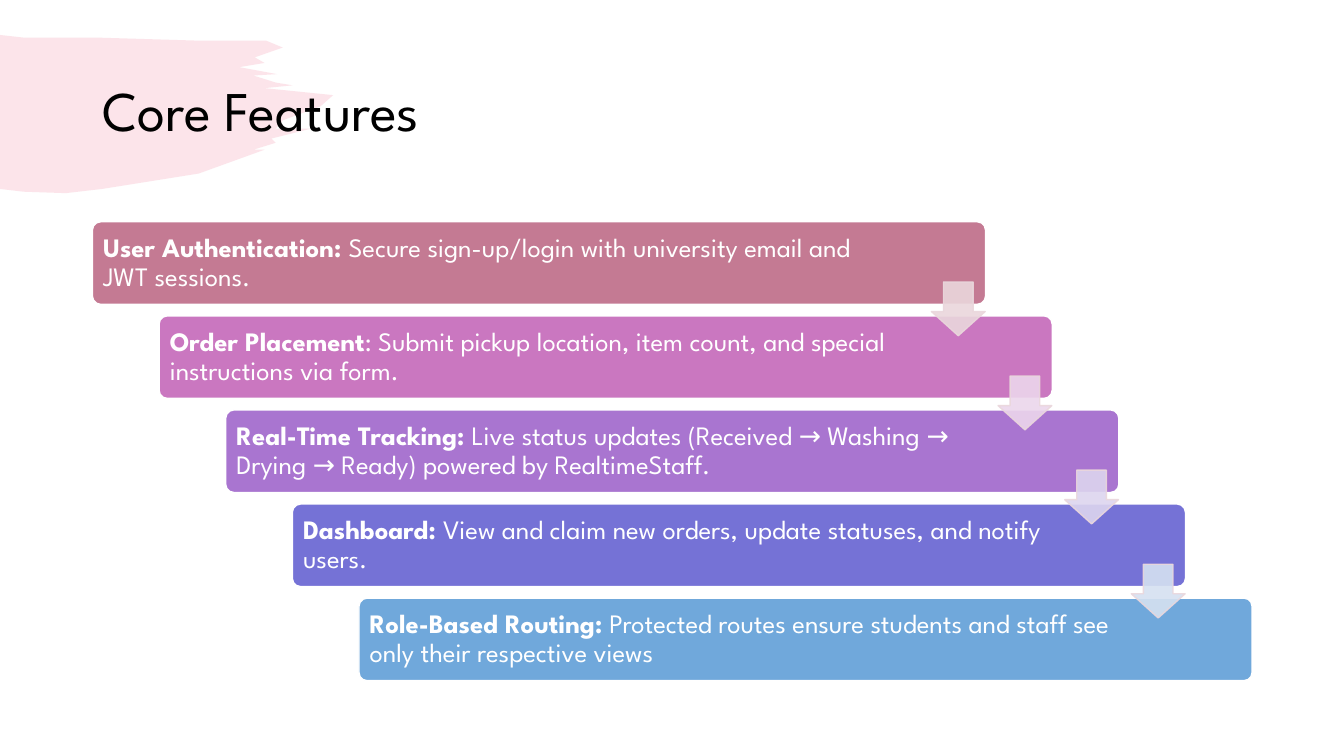
from lxml import etree
from pptx import Presentation
from pptx.dml.color import RGBColor
from pptx.enum.shapes import MSO_SHAPE
from pptx.enum.text import MSO_ANCHOR, MSO_AUTO_SIZE, PP_ALIGN
from pptx.oxml.ns import qn
from pptx.util import Pt

ROUNDED = MSO_SHAPE.ROUNDED_RECTANGLE
DOWN_ARROW = MSO_SHAPE.DOWN_ARROW
MIDDLE = MSO_ANCHOR.MIDDLE
LEFT = PP_ALIGN.LEFT
NO_AUTOFIT = MSO_AUTO_SIZE.NONE

FONT = "League Spartan"
BLACK = RGBColor.from_string("000000")
WHITE = RGBColor.from_string("FFFFFF")
PINK = RGBColor.from_string("F07C98")
ROSE = RGBColor.from_string("C47A93")
ORCHID = RGBColor.from_string("CA77C0")
PURPLE = RGBColor.from_string("A975D0")
INDIGO = RGBColor.from_string("7572D6")
BLUE = RGBColor.from_string("70A8DB")
PALE_ROSE = RGBColor.from_string("EAD7DC")
PALE_ORCHID = RGBColor.from_string("ECD6EC")
PALE_PURPLE = RGBColor.from_string("DDD5EF")
PALE_BLUE = RGBColor.from_string("D5E1F1")

# Box colour, bold heading, description
FEATURES = [
    (ROSE, "User Authentication: ",
     "Secure sign-up/login with university email and JWT sessions."),
    (ORCHID, "Order Placement",
     ": Submit pickup location, item count, and special instructions via form."),
    (PURPLE, "Real-Time Tracking: ",
     "Live status updates (Received → Washing → Drying → Ready) powered by RealtimeStaff."),
    (INDIGO, "Dashboard: ",
     "View and claim new orders, update statuses, and notify users."),
    (BLUE, "Role-Based Routing: ",
     "Protected routes ensure students and staff see only their respective views"),
]
ARROW_FILLS = [PALE_ROSE, PALE_ORCHID, PALE_PURPLE, PALE_BLUE]

# Brush outline in points, clockwise from the top left
BRUSH_OUTLINE = [
    (0, 25), (18, 27), (73, 27), (140, 29), (190, 29), (202, 34),
    (182, 41), (189, 45), (171, 48), (198, 53), (181, 54), (197, 59),
    (209, 61), (189, 63), (238, 68), (229, 76), (202, 86), (197, 92),
    (222, 92), (194, 99), (197, 102), (181, 107), (189, 107), (142, 124),
    (73, 135), (47, 138), (17, 137), (0, 135),
]


def add_text(paragraph, text, size=19, color=WHITE, bold=False):
    paragraph.alignment = LEFT
    paragraph.line_spacing = 0.9
    run = paragraph.add_run()
    run.text = text
    run.font.name = FONT
    run.font.size = Pt(size)
    run.font.bold = bold
    run.font.color.rgb = color


def style_shape(shape, fill, line=None, opacity=100):
    shape.shadow.inherit = False
    shape.fill.solid()
    shape.fill.fore_color.rgb = fill
    if line is None:
        shape.line.fill.background()
    else:
        shape.line.color.rgb = line
        shape.line.width = Pt(1)
    if opacity < 100:
        for color in shape._element.spPr.iter(qn("a:srgbClr")):
            etree.SubElement(color, qn("a:alpha")).set("val", str(opacity * 1000))


presentation = Presentation()
presentation.slide_width = Pt(960)
presentation.slide_height = Pt(540)
slide = presentation.slides.add_slide(presentation.slide_layouts[5])
slide.background.fill.solid()
slide.background.fill.fore_color.rgb = WHITE

# Title
title = slide.shapes.title
title.left, title.top, title.width, title.height = Pt(66), Pt(28.8), Pt(828), Pt(104.4)
title.text_frame.auto_size = NO_AUTOFIT
title.text_frame.vertical_anchor = MIDDLE
add_text(title.text_frame.paragraphs[0], "Core Features", size=40, color=BLACK)

# Brush stroke behind the title
start_x, start_y = BRUSH_OUTLINE[0]
builder = slide.shapes.build_freeform(start_x, start_y, scale=float(Pt(1)))
builder.add_line_segments(BRUSH_OUTLINE[1:], close=True)
brush = builder.convert_to_shape()
style_shape(brush, PINK, opacity=20)
title._element.addprevious(brush._element)

# Staircase of feature boxes
STEP_X, STEP_Y = 47.6, 67.2
for index, (color, heading, description) in enumerate(FEATURES):
    box = slide.shapes.add_shape(ROUNDED, Pt(66 + index * STEP_X),
                                 Pt(158.4 + index * STEP_Y), Pt(638), Pt(59))
    box.adjustments[0] = 0.1
    style_shape(box, color, line=WHITE)
    frame = box.text_frame
    frame.word_wrap = True
    frame.vertical_anchor = MIDDLE
    frame.margin_left, frame.margin_right = Pt(6), Pt(84)
    frame.margin_top = frame.margin_bottom = Pt(6)
    add_text(frame.paragraphs[0], heading, bold=True)
    add_text(frame.paragraphs[0], description)

# Arrows from each box to the next
for index, color in enumerate(ARROW_FILLS):
    arrow = slide.shapes.add_shape(DOWN_ARROW, Pt(665.3 + index * STEP_X),
                                   Pt(201.4 + index * STEP_Y), Pt(38.4), Pt(38.4))
    arrow.adjustments[0] = 0.55
    arrow.adjustments[1] = 0.45
    style_shape(arrow, color, line=PALE_ROSE, opacity=90)

presentation.save("out.pptx")
